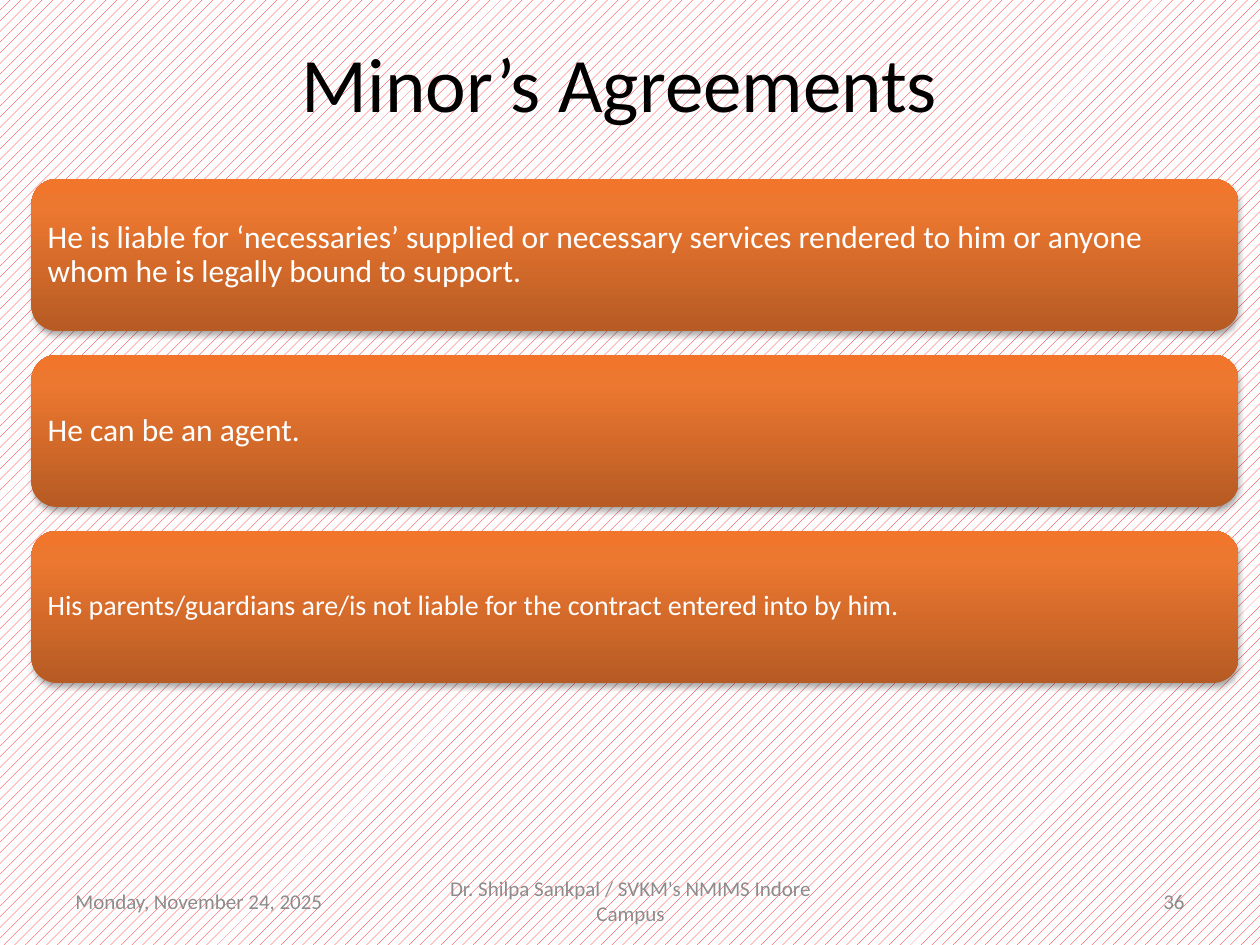
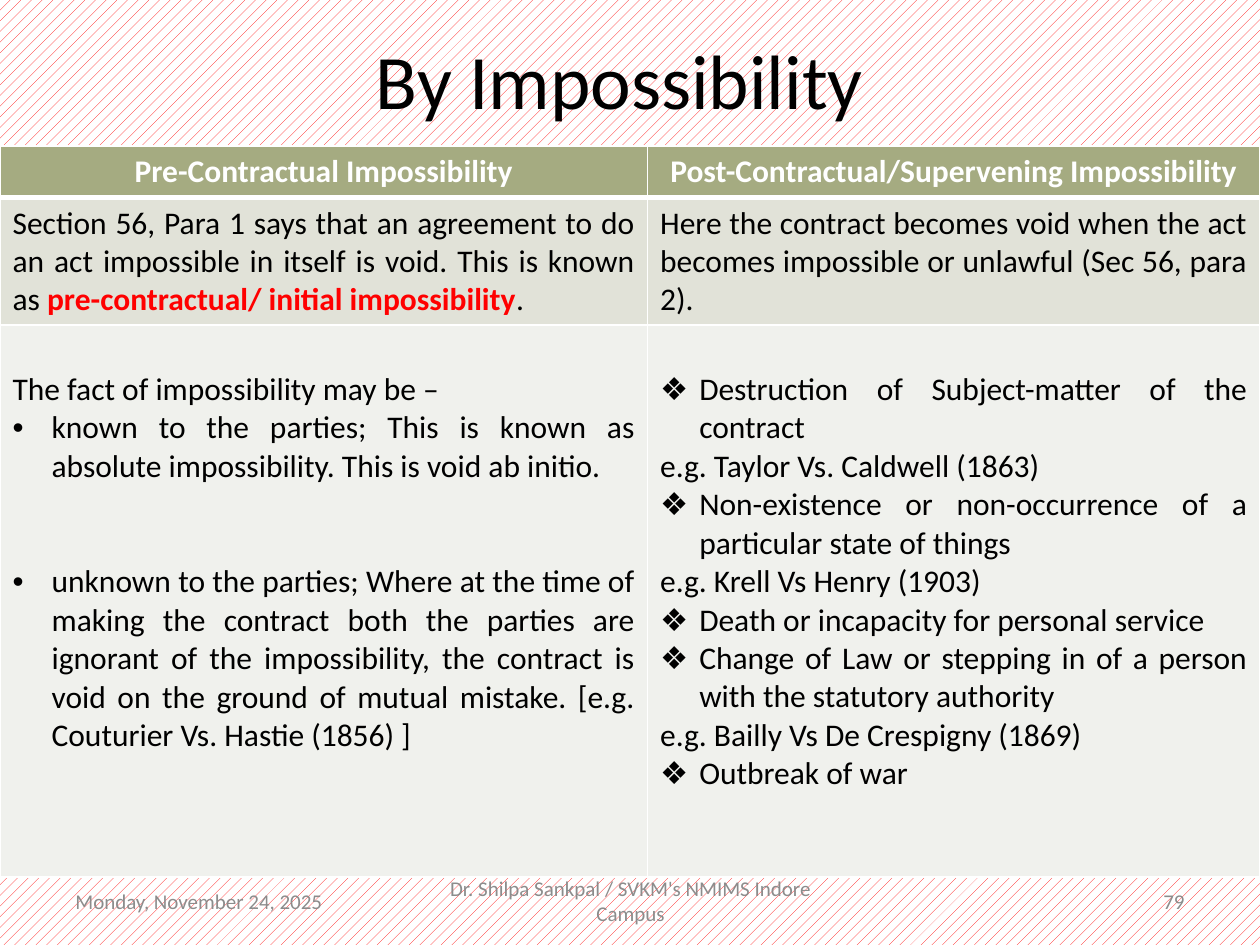
from copy import deepcopy

from lxml import etree
from pptx import Presentation
from pptx.dml.color import RGBColor
from pptx.enum.dml import MSO_PATTERN
from pptx.enum.shapes import MSO_SHAPE
from pptx.enum.text import MSO_ANCHOR, PP_ALIGN
from pptx.oxml.ns import qn
from pptx.util import Inches, Pt

LEFT, CENTER, RIGHT, JUSTIFY = PP_ALIGN.LEFT, PP_ALIGN.CENTER, PP_ALIGN.RIGHT, PP_ALIGN.JUSTIFY
MIDDLE = MSO_ANCHOR.MIDDLE
ROUNDED = MSO_SHAPE.ROUNDED_RECTANGLE
DOTS = MSO_PATTERN.PERCENT_20

FONT = "Calibri"
COLORS = {
    "text": "000000", "white": "FFFFFF", "accent": "FF0000", "footer": "8C8C8C",
    "card_bottom": "B65B24", "card_middle": "EC772F", "card_top": "F1762C",
    "header": "A5AB81", "summary": "E1E2D8", "detail": "F0F1ED",
}
CARD_GRADIENT = [(0, "card_bottom"), (0.8, "card_middle"), (1, "card_top")]
FOOTER_DATE = "Monday, November 24, 2025"
FOOTER_AUTHOR = "Dr. Shilpa Sankpal / SVKM's NMIMS Indore Campus"

HANGING = Inches(0.31)
LINE_18 = 22  # height in points of one 18 pt line
DOT, DIAMOND = "•", "❖"


def rgb(name):
    return RGBColor.from_string(COLORS[name])


def add_run(paragraph, text, color, size=18, bold=False):
    run = paragraph.add_run()
    run.text = text
    for attribute, value in {"name": FONT, "size": Pt(size), "bold": bold}.items():
        setattr(run.font, attribute, value)
    run.font.color.rgb = rgb(color)


def add_label(slide, box, text, size, color, align):
    frame = slide.shapes.add_textbox(*map(Inches, box)).text_frame
    frame.word_wrap = True
    frame.vertical_anchor = MIDDLE
    frame.paragraphs[0].alignment = align
    add_run(frame.paragraphs[0], text, color, size)


def add_base_slide(prs, title, number, title_top=0):
    """Add a slide with the shared background, title and footer."""
    slide = prs.slides.add_slide(prs.slide_layouts[6])
    fill = slide.background.fill
    fill.patterned()
    fill.pattern = DOTS
    fill.fore_color.rgb = rgb("accent")
    fill.back_color.rgb = rgb("white")
    add_label(slide, (0.42, title_top, 9, 1.25), title, 44, "text", CENTER)
    for left, width, text, align in [
        (0.5, 2.33, FOOTER_DATE, LEFT),
        (3.42, 3.17, FOOTER_AUTHOR, CENTER),
        (7.17, 2.33, str(number), RIGHT),
    ]:
        add_label(slide, (left, 6.95, width, 0.4), text, 12, "footer", align)
    return slide


def style_card(card):
    """Give a card its vertical gradient and soft shadow."""
    card.line.fill.background()
    card.fill.gradient()
    stops = card._element.spPr.find(".//" + qn("a:gsLst"))
    stops.append(deepcopy(stops[0]))
    for stop, (position, color) in zip(card.fill.gradient_stops, CARD_GRADIENT):
        stop.position = position
        stop.color.rgb = rgb(color)
    card.fill.gradient_angle = 90

    card.shadow.inherit = False
    effects = card._element.spPr.find(qn("a:effectLst"))
    shadow = etree.SubElement(effects, qn("a:outerShdw"), blurRad=str(Pt(3.1)),
                              dist=str(Pt(1.8)), dir="5400000", rotWithShape="0")
    shade = etree.SubElement(shadow, qn("a:srgbClr"), val=COLORS["text"])
    etree.SubElement(shade, qn("a:alpha"), val="35000")


def add_cards(slide, box, statements, gap=0.19):
    """Stack equal cards in the box, one for each (text, size)."""
    left, top, width, height = box
    card_height = (height - gap * (len(statements) - 1)) / len(statements)
    for index, (text, size) in enumerate(statements):
        card_top = top + index * (card_height + gap)
        card = slide.shapes.add_shape(
            ROUNDED, *map(Inches, (left, card_top, width, card_height)))
        style_card(card)
        frame = card.text_frame
        frame.word_wrap = True
        frame.vertical_anchor = MIDDLE
        for side in ("left", "top", "right", "bottom"):
            setattr(frame, f"margin_{side}", Inches(0.07))
        paragraph = frame.paragraphs[0]
        paragraph.alignment = LEFT
        paragraph.line_spacing = 0.9
        add_run(paragraph, text, "white", size)


def set_bullet(paragraph, bullet):
    properties = paragraph._p.get_or_add_pPr()
    properties.set("marL", str(HANGING))
    properties.set("indent", str(-HANGING))
    etree.SubElement(properties, qn("a:buFont"), typeface="Arial")
    etree.SubElement(properties, qn("a:buChar"), char=bullet)


def set_borders(cell, top, bottom):
    properties = cell._tc.get_or_add_tcPr()
    widths = {"a:lnL": 1, "a:lnR": 1, "a:lnT": top, "a:lnB": bottom}
    for index, (side, width) in enumerate(widths.items()):
        line = etree.Element(qn(side), w=str(Pt(width)))
        solid = etree.SubElement(line, qn("a:solidFill"))
        etree.SubElement(solid, qn("a:srgbClr"), val=COLORS["white"])
        properties.insert(index, line)


def fill_cell(cell, paragraphs, align, color, bold=False):
    """Write (bullet, text or runs, lines skipped before) entries into a cell."""
    frame = cell.text_frame
    for index, (bullet, content, skipped) in enumerate(paragraphs):
        paragraph = frame.add_paragraph() if index else frame.paragraphs[0]
        paragraph.alignment = align
        if bullet:
            set_bullet(paragraph, bullet)
        if skipped:
            paragraph.space_before = Pt(skipped * LINE_18)
        runs = [(content, color, bold)] if isinstance(content, str) else content
        for text, run_color, run_bold in runs:
            add_run(paragraph, text, run_color, bold=run_bold)


def add_comparison(slide, box, column_widths, row_heights, rows):
    table = slide.shapes.add_table(len(rows), len(column_widths), *map(Inches, box)).table
    for column, width in zip(table.columns, column_widths):
        column.width = Inches(width)
    for row, height in zip(table.rows, row_heights):
        row.height = Inches(height)
    for row_index, (fill, cells) in enumerate(rows):
        is_header = row_index == 0
        for column_index, paragraphs in enumerate(cells):
            cell = table.cell(row_index, column_index)
            cell.fill.solid()
            cell.fill.fore_color.rgb = rgb(fill)
            set_borders(cell, top=3 if row_index == 1 else 1, bottom=3 if is_header else 1)
            if fill == "detail":
                cell.margin_top = Inches(0.36)
            if is_header:
                fill_cell(cell, paragraphs, CENTER, "white", bold=True)
            else:
                fill_cell(cell, paragraphs, JUSTIFY, "text")


def build_minors_agreements(prs):
    slide = add_base_slide(prs, "Minor’s Agreements", 36, title_top=0.02)
    add_cards(slide, (0.25, 1.42, 9.58, 4), [
        ("He is liable for ‘necessaries’ supplied or necessary services rendered to him "
         "or anyone whom he is legally bound to support.", 18),
        ("He can be an agent.", 18),
        ("His parents/guardians are/is not liable for the contract entered into by him.", 16),
    ])


def build_impossibility(prs):
    slide = add_base_slide(prs, "By Impossibility", 79)
    initial_summary = [
        ("Section 56, Para 1 says that an agreement to do an act impossible in itself "
         "is void. This is known as ", "text", False),
        ("pre-contractual/ initial impossibility", "accent", True),
        (".", "text", False),
    ]
    supervening_summary = ("Here the contract becomes void when the act becomes impossible "
                           "or unlawful (Sec 56, para 2).")
    initial_details = [
        (None, "The fact of impossibility may be –", 0),
        (DOT, "known to the parties; This is known as absolute impossibility. "
              "This is void ab initio.", 0),
        (DOT, "unknown to the parties; Where at the time of making the contract both the "
              "parties are ignorant of the impossibility, the contract is void on the "
              "ground of mutual mistake. [e.g. Couturier Vs. Hastie (1856) ]", 2),
    ]
    supervening_details = [
        (DIAMOND, "Destruction of Subject-matter of the contract", 0),
        (None, "e.g. Taylor Vs. Caldwell (1863)", 0),
        (DIAMOND, "Non-existence or non-occurrence of a particular state of things", 0),
        (None, "e.g. Krell Vs Henry (1903)", 0),
        (DIAMOND, "Death or incapacity for personal service", 0),
        (DIAMOND, "Change of Law or stepping in of a person with the statutory authority", 0),
        (None, "e.g. Bailly Vs De Crespigny (1869)", 0),
        (DIAMOND, "Outbreak of war", 0),
    ]
    add_comparison(slide, (0, 1.16, 10, 5.8), (5.14, 4.86), (0.41, 1.01, 4.38), [
        ("header", [[(None, "Pre-Contractual Impossibility", 0)],
                    [(None, "Post-Contractual/Supervening Impossibility", 0)]]),
        ("summary", [[(None, initial_summary, 0)], [(None, supervening_summary, 0)]]),
        ("detail", [initial_details, supervening_details]),
    ])


def main():
    prs = Presentation()
    prs.slide_width, prs.slide_height = Inches(10), Inches(7.5)
    build_minors_agreements(prs)
    build_impossibility(prs)
    prs.save("out.pptx")


if __name__ == "__main__":
    main()
